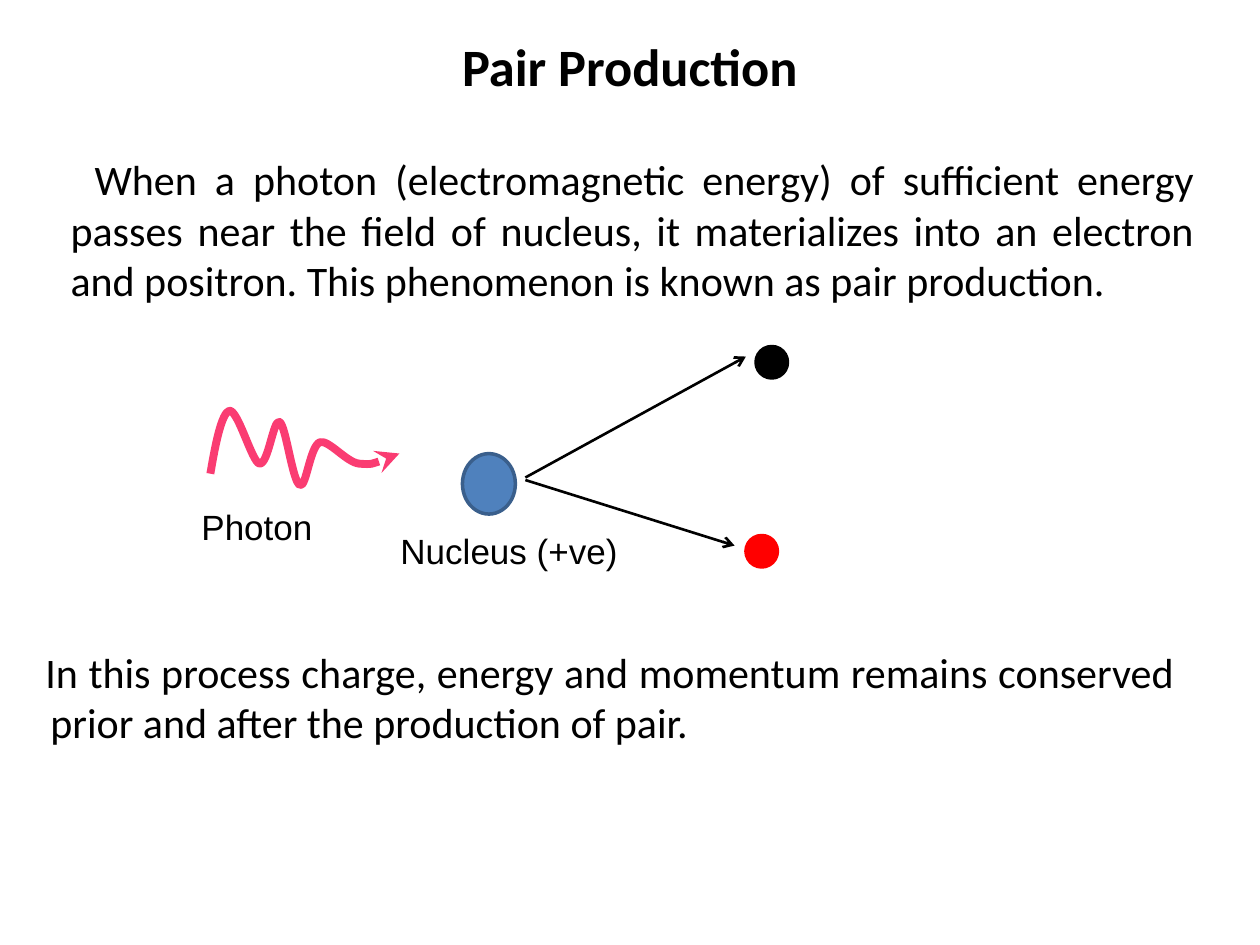
import lxml.etree
import pptx
import pptx.dml.color
import pptx.enum.shapes
import pptx.enum.text
import pptx.oxml
import pptx.oxml.ns
import pptx.util

WIDTH, HEIGHT = 10, 7.5
BLACK, RED, BLUE, NAVY, PINK = "000000", "FF0000", "4F81BD", "3A5F8C", "FA3C72"
ALIGN = pptx.enum.text.PP_ALIGN
DIAGRAM = (1.5, 2.75, 4.75, 1.84)
WAVE = [
    (0.17, 1.01), (0.21, 0.77), (0.26, 0.53), (0.32, 0.51),
    (0.39, 0.5), (0.5, 0.92), (0.56, 0.93), (0.63, 0.94), (0.67, 0.57), (0.72, 0.6),
    (0.77, 0.63), (0.82, 1.07), (0.88, 1.1), (0.93, 1.13), (0.96, 0.79), (1.04, 0.76),
    (1.11, 0.74), (1.25, 0.92), (1.35, 0.93), (1.46, 0.94), (1.56, 0.9), (1.67, 0.85),
]


def inches(*lengths):
    return [pptx.util.Inches(length) for length in lengths]


def color(value):
    return pptx.dml.color.RGBColor.from_string(value)


def apply_values(target, values):
    for name, value in values.items():
        setattr(target, name, value)


def place(shape, box):
    apply_values(shape, dict(zip(("left", "top", "width", "height"), inches(*box))))


def style_font(font, name, size, bold=False):
    apply_values(font, {"name": name, "size": pptx.util.Pt(size), "bold": bold})
    font.color.rgb = color(BLACK)


def style_line(line, value, width, arrowhead=None):
    line.color.rgb = color(value)
    line.width = pptx.util.Pt(width)
    if arrowhead:
        tail = lxml.etree.SubElement(line._get_or_add_ln(), pptx.oxml.ns.qn("a:tailEnd"))
        tail.set("type", arrowhead)


def fill_title(shape, box, text):
    place(shape, box)
    frame = shape.text_frame
    frame.text = text
    apply_values(frame, {
        "vertical_anchor": pptx.enum.text.MSO_ANCHOR.MIDDLE,
        "auto_size": pptx.enum.text.MSO_AUTO_SIZE.NONE,
    })
    frame.paragraphs[0].alignment = ALIGN.CENTER
    style_font(frame.paragraphs[0].runs[0].font, "Calibri", 30, True)


def fill_body(shape, box, text, first_indent):
    place(shape, box)
    frame = shape.text_frame
    frame.text = text
    frame.auto_size = pptx.enum.text.MSO_AUTO_SIZE.NONE
    paragraph = frame.paragraphs[0]
    apply_values(paragraph, {"alignment": ALIGN.JUSTIFY, "space_before": pptx.util.Pt(0)})
    properties = paragraph._p.get_or_add_pPr()
    margin, indent = inches(0.38, first_indent)
    properties.set("marL", str(margin))
    properties.set("indent", str(indent))
    lxml.etree.SubElement(properties, pptx.oxml.ns.qn("a:buNone"))
    style_font(paragraph.runs[0].font, "Calibri", 24)


def add_particle(slide, box, fill, outline):
    shape = slide.shapes.add_shape(pptx.enum.shapes.MSO_SHAPE.OVAL, *inches(*box))
    shape.shadow.inherit = False
    shape.fill.solid()
    shape.fill.fore_color.rgb = color(fill)
    style_line(shape.line, outline, 2)


def add_track(slide, start, end):
    connector = slide.shapes.add_connector(
        pptx.enum.shapes.MSO_CONNECTOR.STRAIGHT, *inches(*start, *end))
    style_line(connector.line, BLACK, 1.5, "arrow")
    lxml.etree.SubElement(connector._element.spPr, pptx.oxml.ns.qn("a:effectLst"))


def add_label(slide, box, text):
    frame = slide.shapes.add_textbox(*inches(*box)).text_frame
    frame.text = text
    apply_values(frame, {
        "word_wrap": False,
        "auto_size": pptx.enum.text.MSO_AUTO_SIZE.SHAPE_TO_FIT_TEXT,
    })
    style_font(frame.paragraphs[0].runs[0].font, "Arial", 20)


def add_wave(slide, points):
    builder = slide.shapes.build_freeform(*inches(*points[0]), scale=1.0)
    builder.add_line_segments([inches(*point) for point in points[1:]], close=False)
    wave = builder.convert_to_shape()
    wave.shadow.inherit = False
    wave.fill.background()
    segments = list(wave._element.iter(pptx.oxml.ns.qn("a:lnTo")))
    outline = segments[0].getparent()
    for start in range(0, len(segments), 3):
        curve = lxml.etree.SubElement(outline, pptx.oxml.ns.qn("a:cubicBezTo"))
        for segment in segments[start:start + 3]:
            curve.append(segment[0])
            outline.remove(segment)
    style_line(wave.line, PINK, 4.5, "stealth")


def draw_diagram(slide, box):
    left, top, width, height = box

    def at(x, y, *size):
        return (left + x, top + y, *size)

    add_wave(slide, [at(*point) for point in WAVE])
    add_particle(slide, at(2.17, 0.85, 0.42, 0.48), BLUE, NAVY)
    add_track(slide, at(2.67, 1.04), at(4.42, 0.08))
    add_track(slide, at(2.67, 1.06), at(4.33, 1.58))
    dot = 0.25
    add_particle(slide, at(4.42, 1.5, dot, dot), RED, RED)
    add_particle(slide, at(width - dot, 0, dot, dot), BLACK, BLACK)
    add_label(slide, at(0, 1.21, 1.09, 0.44), "Photon")
    add_label(slide, at(1.58, height - 0.44, 1.94, 0.44), "Nucleus (+ve)")


def main():
    presentation = pptx.Presentation()
    apply_values(presentation, dict(zip(("slide_width", "slide_height"), inches(WIDTH, HEIGHT))))
    slide = presentation.slides.add_slide(presentation.slide_layouts[3])
    title, definition, conservation = slide.placeholders
    fill_title(title, (0.05 * WIDTH, 0.17, 0.9 * WIDTH, 0.7), "Pair Production")
    fill_body(
        definition, (0.08, 1.17, 0.95 * WIDTH, 1.83),
        "When a photon (electromagnetic energy) of sufficient energy passes near the field of "
        "nucleus, it materializes into an electron and positron. This phenomenon is known as "
        "pair production.", 0.19)
    fill_body(
        conservation, (-0.08, 5.08, 0.95 * WIDTH, 1),
        "In this process charge, energy and momentum remains conserved prior and after the "
        "production of pair.", -0.04)
    draw_diagram(slide, DIAGRAM)
    presentation.save("out.pptx")


if __name__ == "__main__":
    main()
